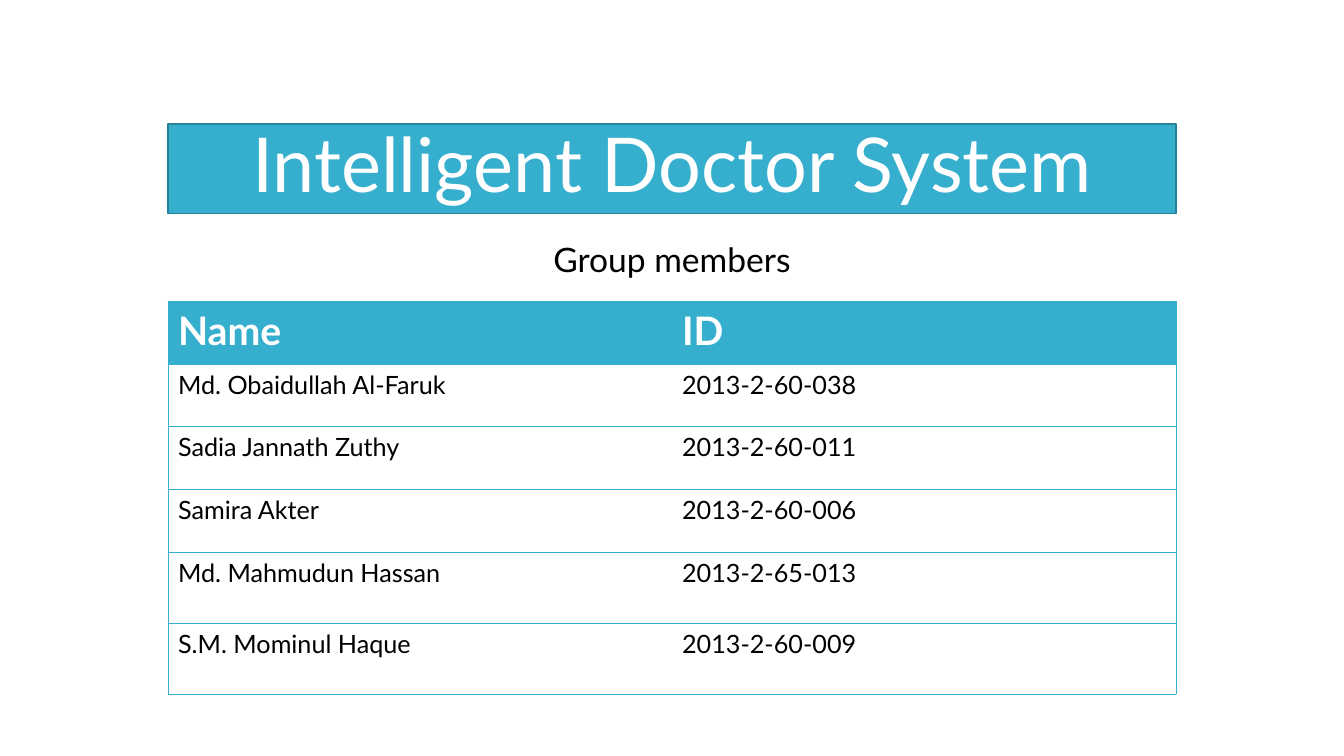
from lxml.etree import SubElement
from pptx import Presentation
from pptx.dml.color import RGBColor
from pptx.enum.shapes import MSO_SHAPE
from pptx.enum.text import MSO_ANCHOR, PP_ALIGN
from pptx.oxml.ns import qn
from pptx.util import Pt

TEAL, EDGE, WHITE, BLACK = "36AFCE", "288198", "FFFFFF", "000000"
LEFT, WIDTH = 120, 720
HEADS = ("Name", "ID")
MEMBERS = (
    ("Md. Obaidullah Al-Faruk", "2013-2-60-038"),
    ("Sadia Jannath Zuthy", "2013-2-60-011"),
    ("Samira Akter", "2013-2-60-006"),
    ("Md. Mahmudun Hassan", "2013-2-65-013"),
    ("S.M. Mominul Haque", "2013-2-60-009"),
)
HEIGHTS = (44.8,) * 4 + (50.7,) * 2


def color(code):
    return RGBColor.from_string(code)


def write(frame, text, size, code, bold=False):
    """Put one styled paragraph into a text frame and return it."""
    frame.text = text
    para = frame.paragraphs[0]
    font = para.runs[0].font
    font.name, font.size, font.bold = "Lato", Pt(size), bold
    font.color.rgb = color(code)
    return para


def center(para):
    para.alignment = PP_ALIGN.CENTER
    para.line_spacing = 0.9


def add_title(slide, left, top, width, height):
    bar = slide.shapes.add_shape(
        MSO_SHAPE.RECTANGLE, Pt(left), Pt(top), Pt(width), Pt(height))
    bar.shadow.inherit = False
    bar.fill.solid()
    bar.fill.fore_color.rgb = color(TEAL)
    bar.line.color.rgb = color(EDGE)
    bar.line.width = Pt(1)
    frame = bar.text_frame
    frame.word_wrap = True
    frame.vertical_anchor = MSO_ANCHOR.BOTTOM
    center(write(frame, "Intelligent Doctor System", 54, WHITE))


def add_label(slide, left, top, width, height):
    box = slide.shapes.add_textbox(Pt(left), Pt(top), Pt(width), Pt(height))
    box.text_frame.word_wrap = True
    para = write(box.text_frame, "Group members", 24, BLACK)
    center(para)
    para.space_before = Pt(10)


def set_edges(cell, sides):
    """Draw the named sides of a cell and hide the others."""
    props = cell._tc.get_or_add_tcPr()
    for side in "LRTB":
        line = SubElement(props, qn(f"a:ln{side}"), w=str(Pt(0.5)))
        if side in sides:
            fill = SubElement(line, qn("a:solidFill"))
            SubElement(fill, qn("a:srgbClr"), val=TEAL)
        else:
            SubElement(line, qn("a:noFill"))


def add_members(slide, left, top, width, heights):
    rows = (HEADS,) + MEMBERS
    table = slide.shapes.add_table(
        len(rows), len(HEADS), Pt(left), Pt(top), Pt(width),
        Pt(sum(heights))).table
    table.horz_banding = False
    for col in table.columns:
        col.width = Pt(width / len(HEADS))
    for r, (texts, height) in enumerate(zip(rows, heights)):
        table.rows[r].height = Pt(height)
        for c, text in enumerate(texts):
            cell = table.cell(r, c)
            set_edges(cell, "LTB" if c == 0 else "RTB")
            if r == 0:
                cell.fill.solid()
                cell.fill.fore_color.rgb = color(TEAL)
                write(cell.text_frame, text, 28, WHITE, True)
            else:
                cell.fill.background()
                write(cell.text_frame, text, 18, BLACK)


def main():
    deck = Presentation()
    deck.slide_width, deck.slide_height = Pt(960), Pt(540)
    slide = deck.slides.add_slide(deck.slide_layouts[6])
    add_title(slide, LEFT, 88.5, WIDTH, 64)
    add_label(slide, LEFT, 170, WIDTH, 320.4)
    add_members(slide, LEFT, 215.3, WIDTH, HEIGHTS)
    deck.save("out.pptx")


if __name__ == "__main__":
    main()
